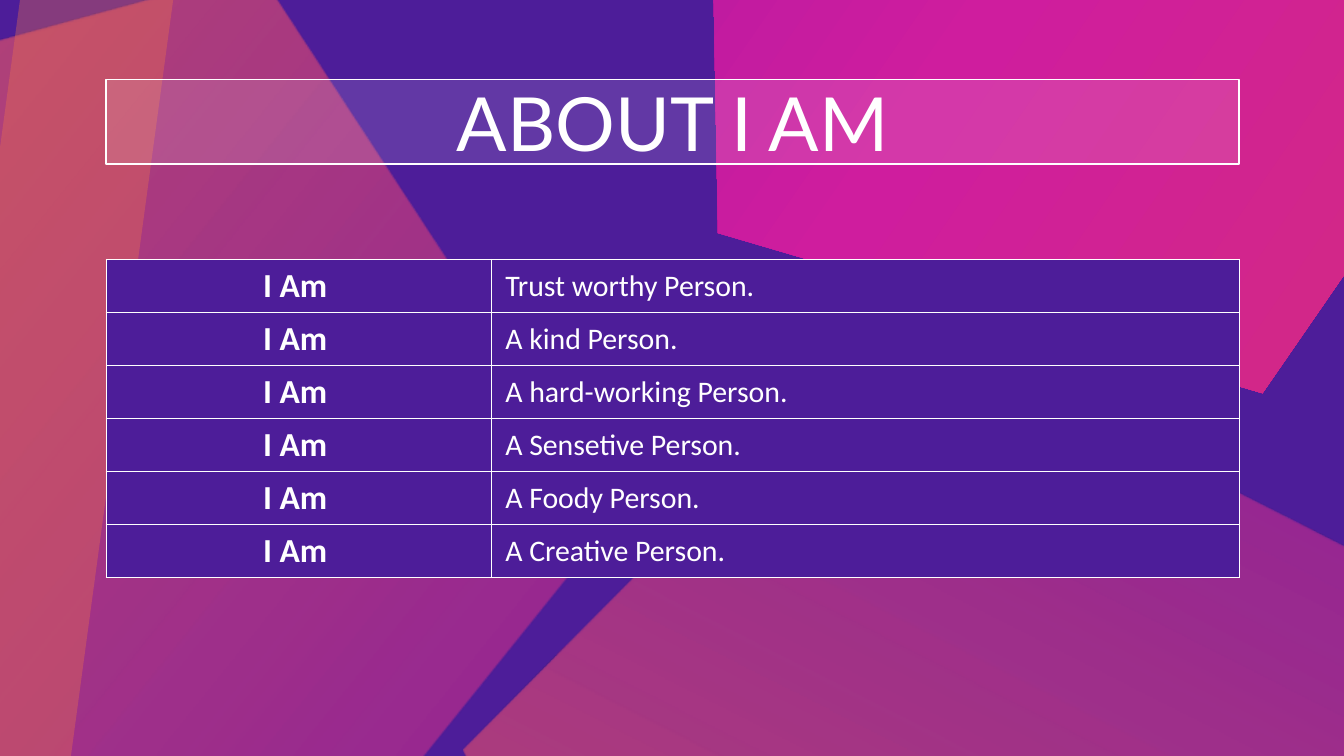
from lxml import etree
from pptx import Presentation
from pptx.dml.color import RGBColor
from pptx.enum import shapes, text
from pptx.oxml import parse_xml
from pptx.oxml.ns import nsdecls, qn
from pptx.util import Inches, Pt

PURPLE, ORANGE, WHITE = "4D1D99", "F07449", "FFFFFF"
PINK_STOPS = [(0, "9715A7", 100), (50, "CF1D9E", 100), (100, "D63272", 100)]
ORANGE_STOPS = [(0, ORANGE, 76), (100, "CF1D9E", 46), (100, "D63272", 100)]

PENTAGONS = [
    ((4.48, -3.92, 6.91, 6.49), 304.6, PINK_STOPS),
    ((3.43, 3, 7.26, 6.98), 206.9, ORANGE_STOPS),
    ((-3.79, -0.34, 7.87, 7.48), 308.8, ORANGE_STOPS),
]
TITLE = "ABOUT I AM"
LABEL = "I Am "
TRAITS = [
    "Trust worthy Person.",
    "A kind Person.",
    "A hard-working Person.",
    "A Sensetive Person.",
    "A Foody Person.",
    "A Creative Person.",
]
PAGE_WIDTH = 10
PAGE_HEIGHT = PAGE_WIDTH * 9 / 16
COLUMN_WIDTHS = [2.87, 5.56]
LEFT, TABLE_TOP, TABLE_HEIGHT = 0.79, 1.93, 2.37


def color(value):
    return RGBColor.from_string(value)


def add_shape(page, kind, bounds, rotation=0):
    shape = page.shapes.add_shape(kind, *map(Inches, bounds))
    shape.rotation = rotation
    shape.shadow.inherit = False
    shape.line.fill.background()
    return shape


def fill_solid(shape, value, opacity):
    shape.fill.solid()
    shape.fill.fore_color.rgb = color(value)
    tint = shape._element.spPr.find(qn("a:solidFill"))[0]
    etree.SubElement(tint, qn("a:alpha")).set("val", str(opacity * 1000))


def fill_gradient(shape, stops):
    marks = "".join(
        f'<a:gs pos="{place * 1000}"><a:srgbClr val="{value}">'
        f'<a:alpha val="{opacity * 1000}"/></a:srgbClr></a:gs>'
        for place, value, opacity in stops
    )
    gradient = parse_xml(
        f'<a:gradFill {nsdecls("a")} rotWithShape="1"><a:gsLst>{marks}</a:gsLst>'
        '<a:lin ang="5400000" scaled="0"/></a:gradFill>'
    )
    shape._element.spPr.find(qn("a:prstGeom")).addnext(gradient)


def write(para, words, font, size, align, bold=False):
    para.text = words
    para.alignment = align
    para.font.name = font
    para.font.size = Pt(size)
    para.font.bold = bold
    para.font.color.rgb = color(WHITE)


def style_cell(cell):
    cell.fill.solid()
    cell.fill.fore_color.rgb = color(PURPLE)
    cell.vertical_anchor = text.MSO_ANCHOR.MIDDLE
    cell.margin_left = cell.margin_right = Inches(0.1)
    cell.margin_top = cell.margin_bottom = 0
    properties = cell._tc.get_or_add_tcPr()
    for index, side in enumerate("LRTB"):
        border = parse_xml(
            f'<a:ln{side} {nsdecls("a")} w="{Pt(0.75)}"><a:solidFill>'
            f'<a:srgbClr val="{WHITE}"/></a:solidFill></a:ln{side}>'
        )
        properties.insert(index, border)


def add_title(page):
    box = add_shape(page, shapes.MSO_SHAPE.RECTANGLE, (LEFT, 0.59, sum(COLUMN_WIDTHS), 0.63))
    fill_solid(box, WHITE, 12)
    box.line.color.rgb = color(WHITE)
    box.line.width = Pt(0.75)
    frame = box.text_frame
    frame.word_wrap = True
    frame.vertical_anchor = text.MSO_ANCHOR.MIDDLE
    frame.margin_left = frame.margin_right = Inches(0.1)
    frame.margin_top = frame.margin_bottom = Inches(0.1)
    write(frame.paragraphs[0], TITLE, "Lato", 40, text.PP_ALIGN.CENTER)


def add_traits(page):
    bounds = (LEFT, TABLE_TOP, sum(COLUMN_WIDTHS), TABLE_HEIGHT)
    table = page.shapes.add_table(len(TRAITS), 2, *map(Inches, bounds)).table
    table.first_row = table.horz_banding = False
    for column, width in zip(table.columns, COLUMN_WIDTHS):
        column.width = Inches(width)
    for row, trait in zip(table.rows, TRAITS):
        row.height = Inches(TABLE_HEIGHT / len(TRAITS))
        label, detail = row.cells
        style_cell(label)
        style_cell(detail)
        write(label.text_frame.paragraphs[0], LABEL, "Calibri", 18, text.PP_ALIGN.CENTER, True)
        write(detail.text_frame.paragraphs[0], trait, "Calibri", 16, text.PP_ALIGN.LEFT)


def main():
    deck = Presentation()
    deck.slide_width, deck.slide_height = Inches(PAGE_WIDTH), Inches(PAGE_HEIGHT)
    page = deck.slides.add_slide(deck.slide_layouts[6])
    page.background.fill.solid()
    page.background.fill.fore_color.rgb = color(PURPLE)
    for bounds, rotation, stops in PENTAGONS:
        pentagon = add_shape(page, shapes.MSO_SHAPE.REGULAR_PENTAGON, bounds, rotation)
        fill_gradient(pentagon, stops)
    band = add_shape(page, shapes.MSO_SHAPE.RECTANGLE, (-4.44, 0.61, 10, 1.13), 277.7)
    fill_solid(band, ORANGE, 35)
    add_title(page)
    add_traits(page)
    deck.save("out.pptx")


if __name__ == "__main__":
    main()
